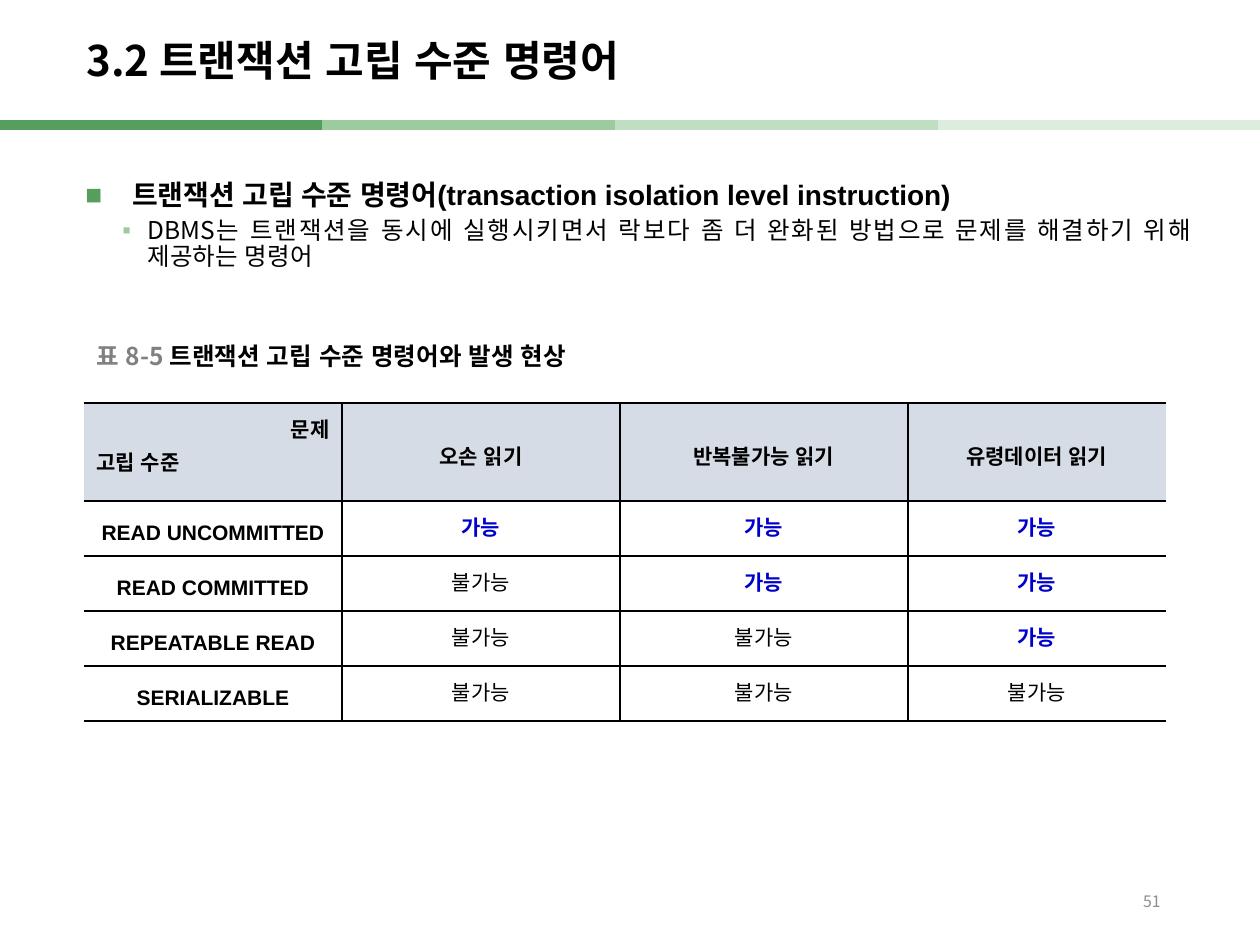
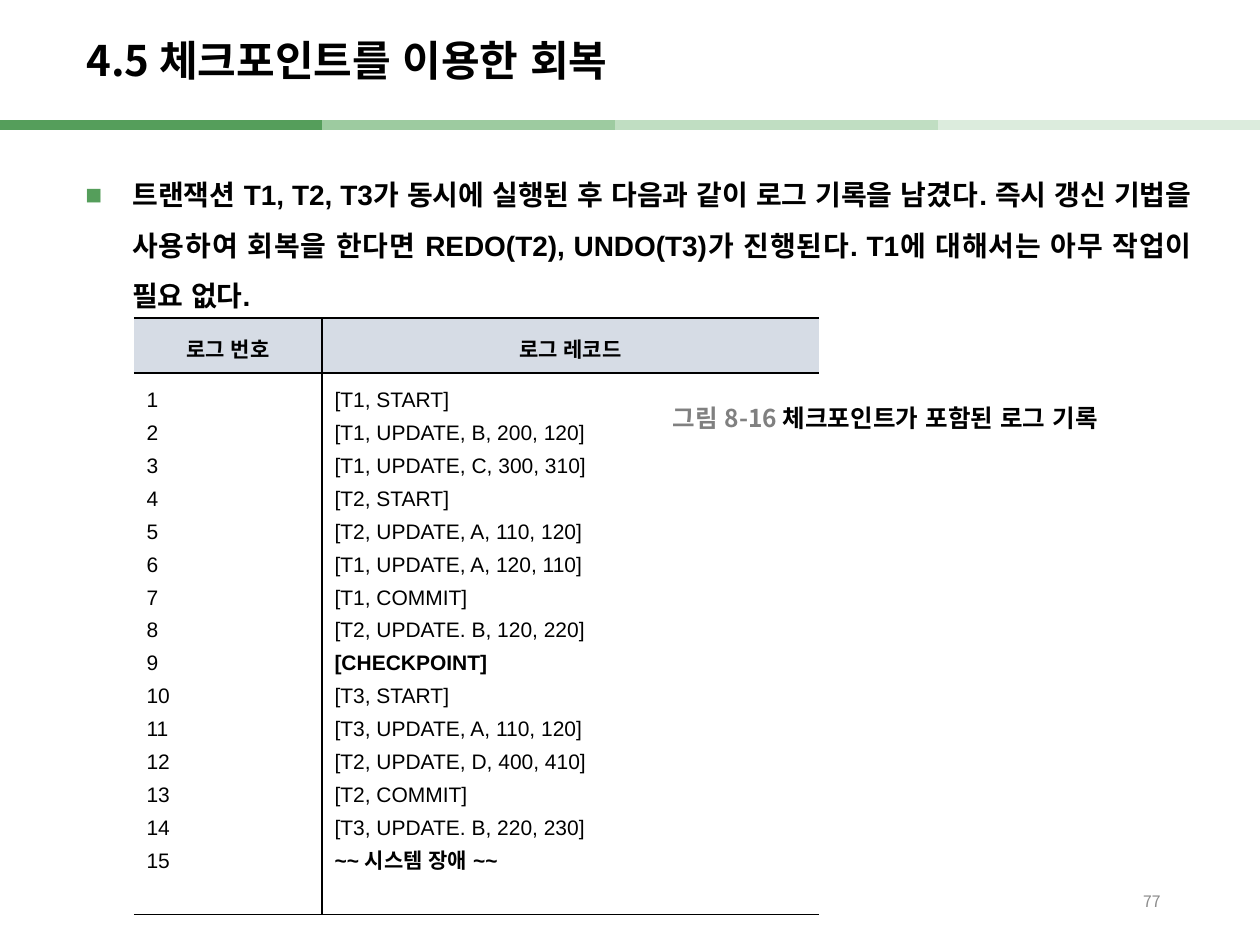
from lxml import etree
from pptx import Presentation
from pptx import util as u
from pptx.dml.color import RGBColor
from pptx.enum import shapes, text
from pptx.oxml.ns import qn

PX = 914400 / 126
KOREAN, LATIN = "Noto Sans CJK KR", "Arial"
COLORS = {
    "ink": "000000", "paper": "FFFFFF", "label": "808080", "page": "8C8C8C",
    "header": "D6DCE5", "possible": "0000CC",
    "green": "559E5B", "green2": "9DCBA0", "green3": "C0DEC2", "green4": "DCECDD",
}
AL = text.PP_ALIGN
TOP, MIDDLE = text.MSO_ANCHOR.TOP, text.MSO_ANCHOR.MIDDLE
ISOLATION = [
    ("READ UNCOMMITTED", "가능", "가능", "가능"),
    ("READ COMMITTED", "불가능", "가능", "가능"),
    ("REPEATABLE READ", "불가능", "불가능", "가능"),
    ("SERIALIZABLE", "불가능", "불가능", "불가능"),
]
LOG = [
    "[T1, START]", "[T1, UPDATE, B, 200, 120]", "[T1, UPDATE, C, 300, 310]",
    "[T2, START]", "[T2, UPDATE, A, 110, 120]", "[T1, UPDATE, A, 120, 110]",
    "[T1, COMMIT]", "[T2, UPDATE. B, 120, 220]", "[CHECKPOINT]",
    "[T3, START]", "[T3, UPDATE, A, 110, 120]", "[T2, UPDATE, D, 400, 410]",
    "[T2, COMMIT]", "[T3, UPDATE. B, 220, 230]", "~~ 시스템 장애 ~~",
]


def px(n):
    """Turn pixels into EMU."""
    return u.Emu(round(n * PX))


def rgb(name):
    """Look up a named colour."""
    return RGBColor.from_string(COLORS[name])


def sub(parent, tag, **attrs):
    """Append a DrawingML child element."""
    return etree.SubElement(parent, qn(tag), attrs)


def add_bullet(p, char, color, left, indent):
    """Give a paragraph a hanging bullet."""
    pPr = p._p.get_or_add_pPr()
    pPr.set("marL", str(px(left)))
    pPr.set("indent", str(px(indent)))
    sub(sub(pPr, "a:buClr"), "a:srgbClr", val=COLORS[color])
    sub(pPr, "a:buFont", typeface=LATIN)
    sub(pPr, "a:buChar", char=char)


def write(tf, content, size=12, font=LATIN, color="ink", bold=False, align=AL.LEFT,
          spacing=1.0, before=0, after=0, bullet=None):
    """Write one paragraph from a string or from (string, colour) runs."""
    p = tf.paragraphs[0] if not tf.text else tf.add_paragraph()
    p.alignment, p.line_spacing = align, spacing
    p.space_before, p.space_after = u.Pt(before), u.Pt(after)
    if bullet:
        add_bullet(p, *bullet)
    for words, tint in [(content, color)] if isinstance(content, str) else content:
        r = p.add_run()
        r.text = words
        r.font.size, r.font.name, r.font.bold = u.Pt(size), font, bold
        r.font.color.rgb = rgb(tint)
        sub(r._r.get_or_add_rPr(), "a:ea", typeface=LATIN)


def add_box(s, x, y, w, h, anchor=MIDDLE):
    """Add a wrapping text box and return its text frame."""
    tf = s.shapes.add_textbox(px(x), px(y), px(w), px(h)).text_frame
    tf.word_wrap, tf.vertical_anchor = True, anchor
    return tf


def add_band(s, x, color):
    """Add one segment of the green band under the title."""
    line = s.shapes.add_connector(shapes.MSO_CONNECTOR.STRAIGHT,
                                  px(x), px(125), px(x + 323), px(125))
    line.line.color.rgb, line.line.width = rgb(color), u.Pt(6)
    sub(line._element.spPr, "a:effectLst")


def add_slide(prs, title, page):
    """Add a slide with its band, title and page number."""
    s = prs.slides.add_slide(prs.slide_layouts[6])
    for i, color in enumerate(("green2", "green3", "green4")):
        add_band(s, 292 + 323 * i, color)
    add_band(s, -1, "green")
    write(add_box(s, 74, 25, 1042, 76), title, size=24, font=KOREAN, bold=True, spacing=0.9)
    write(add_box(s, 890, 876, 283, 50), page, size=9, font=KOREAN, color="page",
          align=AL.RIGHT)
    return s


def add_body(s, heading, detail=None):
    """Add the bulleted heading and an optional detail below it."""
    tf = add_box(s, 73, 155, 1131, 745, TOP)
    write(tf, heading, size=16, bold=True, align=AL.JUSTIFY, spacing=1.5,
          bullet=("■", "green", 47, -47))
    if detail:
        write(tf, detail, size=14, font=KOREAN, align=AL.JUSTIFY, spacing=0.9,
              before=3.8, after=4, bullet=("▪", "green2", 62, -25))


def add_caption(s, x, y, w, label, words):
    """Add a caption with a grey label."""
    write(add_box(s, x, y, w, 39), [(label + " ", "label"), (words, "ink")],
          size=14, font=KOREAN, bold=True)


def style_cell(cell, fill, sides, anchor):
    """Set the borders, fill and anchor of a cell."""
    tcPr = cell._tc.get_or_add_tcPr()
    for side in "LRTB":
        ln = sub(tcPr, "a:ln" + side, w=str(u.Pt(1)))
        if side in sides:
            sub(sub(ln, "a:solidFill"), "a:srgbClr", val=COLORS["ink"])
        else:
            sub(ln, "a:noFill")
    cell.fill.solid()
    cell.fill.fore_color.rgb = rgb(fill)
    cell.vertical_anchor = anchor


def add_grid(s, x, y, widths, heights):
    """Add a table ruled inside, above and below, with a tinted header."""
    table = s.shapes.add_table(len(heights), len(widths), px(x), px(y),
                               px(sum(widths)), px(sum(heights))).table
    table.horz_banding = False
    for col, w in zip(table.columns, widths):
        col.width = px(w)
    for i, h in enumerate(heights):
        table.rows[i].height = px(h)
        for j in range(len(widths)):
            sides = "TB" + "L" * (j > 0) + "R" * (j < len(widths) - 1)
            style_cell(table.cell(i, j), "paper" if i else "header", sides,
                       TOP if i else MIDDLE)
    return table


def write_cell(cell, content, **fmt):
    """Write a paragraph of table text."""
    write(cell.text_frame, content, spacing=1.4, **fmt)


def add_isolation_table(s):
    """Add the table of isolation levels and the problems they allow."""
    table = add_grid(s, 84, 403, [258, 278, 288, 258], [98] + [55] * len(ISOLATION))
    corner = table.cell(0, 0)
    corner.vertical_anchor = TOP
    write_cell(corner, "문제", bold=True, align=AL.RIGHT)
    write_cell(corner, "고립 수준", bold=True)
    for j, problem in enumerate(("오손 읽기", "반복불가능 읽기", "유령데이터 읽기"), 1):
        write_cell(table.cell(0, j), problem, bold=True, align=AL.CENTER)
    for i, (level, *results) in enumerate(ISOLATION, 1):
        table.cell(i, 0).vertical_anchor = MIDDLE
        write_cell(table.cell(i, 0), level, bold=True, align=AL.CENTER)
        for j, result in enumerate(results, 1):
            possible = result == "가능"
            write_cell(table.cell(i, j), result, bold=possible, align=AL.CENTER,
                       color="possible" if possible else "ink")


def add_log_table(s):
    """Add the table of numbered log records."""
    table = add_grid(s, 134, 318, [188, 497], [55, 515])
    for j, header in enumerate(("로그 번호", "로그 레코드")):
        write_cell(table.cell(0, j), header, bold=True, align=AL.CENTER)
    for number, record in enumerate(LOG, 1):
        write_cell(table.cell(1, 0), str(number))
        write_cell(table.cell(1, 1), record,
                   bold=record == "[CHECKPOINT]" or record.startswith("~~"))


def main():
    """Build and save the slides."""
    prs = Presentation()
    prs.slide_width, prs.slide_height = px(1260), px(945)

    s = add_slide(prs, "3.2 트랜잭션 고립 수준 명령어", "51")
    add_body(s, "트랜잭션 고립 수준 명령어(transaction isolation level instruction)",
             "DBMS는 트랜잭션을 동시에 실행시키면서 락보다 좀 더 완화된 방법으로 "
             "문제를 해결하기 위해 제공하는 명령어")
    add_isolation_table(s)
    add_caption(s, 84, 336, 585, "표 8-5", "트랜잭션 고립 수준 명령어와 발생 현상")

    s = add_slide(prs, "4.5 체크포인트를 이용한 회복", "77")
    add_body(s, "트랜잭션 T1, T2, T3가 동시에 실행된 후 다음과 같이 로그 기록을 남겼다. "
                "즉시 갱신 기법을 사용하여 회복을 한다면 REDO(T2), UNDO(T3)가 진행된다. "
                "T1에 대해서는 아무 작업이 필요 없다.")
    add_log_table(s)
    add_caption(s, 660, 398, 480, "그림 8-16", "체크포인트가 포함된 로그 기록")

    prs.save("out.pptx")


if __name__ == "__main__":
    main()
